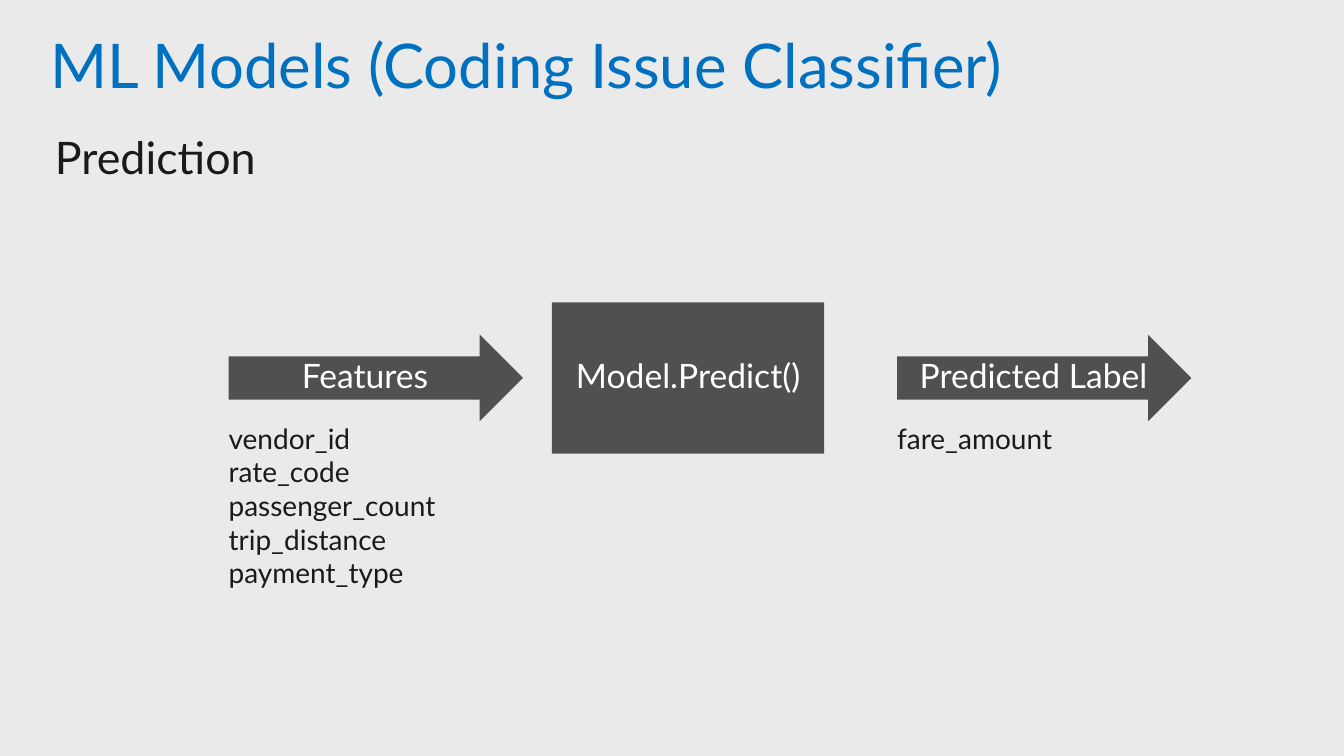
import pptx
import pptx.dml.color
import pptx.enum.shapes
import pptx.enum.text
import pptx.util

Pt = pptx.util.Pt
Shape = pptx.enum.shapes.MSO_SHAPE
Align = pptx.enum.text.PP_ALIGN
Anchor = pptx.enum.text.MSO_ANCHOR
Fit = pptx.enum.text.MSO_AUTO_SIZE

BACK, BLUE, DARK, GREY, WHITE = "EAEAEA", "0070C0", "1A1A1A", "505050", "FFFFFF"


def paint(fill, tone):
    """Give a fill one solid colour."""
    fill.solid()
    fill.fore_color.rgb = pptx.dml.color.RGBColor.from_string(tone)


def apply(item, style):
    """Set each value of a format on an item."""
    for name, value in style.items():
        setattr(item, name, value)


def pads(side, top):
    """Return the margins of a text frame."""
    return {"margin_left": Pt(side), "margin_right": Pt(side),
            "margin_top": Pt(top), "margin_bottom": Pt(top)}


def write(frame, lines, size, tone, form, para):
    """Fill a text frame with one paragraph per line."""
    apply(frame, form)
    for i, line in enumerate(lines):
        part = frame.add_paragraph() if i else frame.paragraphs[0]
        apply(part, para)
        run = part.add_run()
        run.text = line
        apply(run.font, {"name": "Lato", "size": Pt(size)})
        paint(run.font.fill, tone)


def title(slide, text):
    """Add the heading of the slide."""
    box = slide.shapes.add_textbox(Pt(28.8), Pt(16.56), Pt(828), Pt(64.8))
    form = {"word_wrap": True, "vertical_anchor": Anchor.MIDDLE}
    write(box.text_frame, [text], 44, BLUE, form, {"line_spacing": 0.9})


def label(slide, lines, left, top, width, size):
    """Add dark text in a box that grows with its lines."""
    high = size * 1.2 * len(lines)
    box = slide.shapes.add_textbox(Pt(left), Pt(top), Pt(width), Pt(high))
    form = {"word_wrap": True, "auto_size": Fit.SHAPE_TO_FIT_TEXT, **pads(0, 0)}
    write(box.text_frame, lines, size, DARK, form, {"alignment": Align.LEFT})


def block(slide, kind, text, left, top, width, high):
    """Add a grey shape with centred white text."""
    shape = slide.shapes.add_shape(kind, Pt(left), Pt(top), Pt(width), Pt(high))
    shape.shadow.inherit = False
    paint(shape.fill, GREY)
    shape.line.fill.background()
    form = {"word_wrap": True, "vertical_anchor": Anchor.MIDDLE, **pads(14.4, 11.52)}
    para = {"alignment": Align.CENTER, "line_spacing": 0.9}
    write(shape.text_frame, [text], 24, WHITE, form, para)


def flow(slide, text, names, left, width):
    """Add an arrow with its column names below."""
    top, high = 239.04, 61.92
    block(slide, Shape.RIGHT_ARROW, text, left, top, 210.24, high)
    label(slide, names, left, top + high, width, 20)


def main():
    """Build the slide and save it."""
    deck = pptx.Presentation()
    apply(deck, {"slide_width": Pt(960), "slide_height": Pt(540)})
    slide = deck.slides.add_slide(deck.slide_layouts[6])
    paint(slide.background.fill, BACK)
    title(slide, "ML Models (Coding Issue Classifier)")
    label(slide, ["Prediction"], 39.2, 92.88, 150, 32)
    block(slide, Shape.RECTANGLE, "Model.Predict()", 394.3, 216, 194.4, 108)
    names = ["vendor_id", "rate_code", "passenger_count", "trip_distance", "payment_type"]
    flow(slide, "Features", names, 163.3, 153)
    flow(slide, "Predicted Label", ["fare_amount"], 640.8, 115)
    deck.save("out.pptx")


if __name__ == "__main__":
    main()
